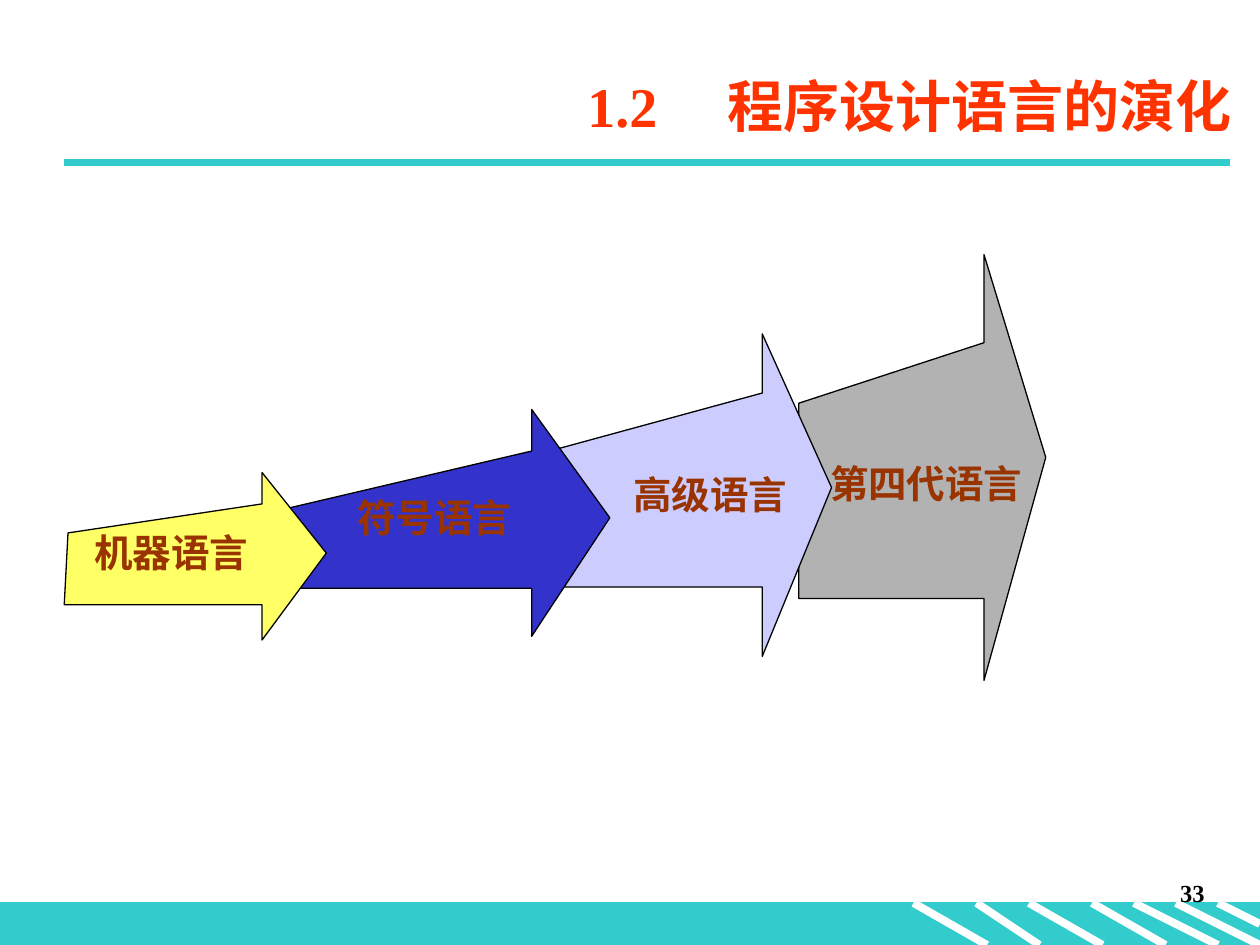
"""Build the slide on the evolution of programming languages."""
import pptx
import pptx.dml.color
import pptx.enum.shapes
import pptx.enum.text
import pptx.util
from lxml import etree

ALIGN = pptx.enum.text.PP_ALIGN
ANCHOR = pptx.enum.text.MSO_ANCHOR
COLS, ROWS = 120, 90
TEAL, WHITE, BLACK = "33CCCC", "FFFFFF", "000000"
STRIP = 86
STRIPES = [(87, 94, 90), (93, 99, 90), (98, 105, 90), (104, 111, 90),
           (108, 116, 90), (112, 120, 90), (116, 120, 88)]

# Each arrow: fill, tail (foot, left, top), base, neck, head, tip, label and its place
ARROWS = [
    ("B2B2B2", (76.08, 76.08, 38.4), 57, (93.72, 32.64), (24.24, 64.8),
     (99.6, 43.56), "第四代语言", (77.88, 43.2, 21.84)),
    ("CCCCFF", (52.44, 52.8, 42.84), 55.92, (72.6, 37.44), (31.8, 62.52),
     (79.2, 46.44), "高级语言", (59.16, 44.28, 18.72)),
    ("3333CC", (27.12, 27.12, 48.48), 56.04, (50.64, 42.96), (39, 60.6),
     (58.08, 49.32), "符号语言", (32.88, 46.44, 18.48)),
    ("FFFF66", (6.12, 6.48, 50.76), 57.6, (24.96, 48), (45, 60.96),
     (31.08, 52.68), "机器语言", (7.8, 49.8, 17.4)),
]


def cell(count):
    """Turn grid cells, twelve to the inch, into a length."""
    return pptx.util.Emu(round(pptx.util.Inches(count / 12)))


def tint(code):
    """Turn a hex string into a colour."""
    return pptx.dml.color.RGBColor.from_string(code)


def put(item, values):
    """Set attributes from a dict of values."""
    for name, value in values.items():
        setattr(item, name, value)


def style(font, size, color):
    """Format a font in the slide's bold face."""
    put(font, {"size": pptx.util.Pt(size), "bold": True, "name": "Times New Roman"})
    font.color.rgb = tint(color)


def paint(shape, fill, edge):
    """Give a shape a flat fill and a thin edge."""
    shape.shadow.inherit = False
    shape.fill.solid()
    shape.fill.fore_color.rgb = tint(fill)
    shape.line.color.rgb = tint(edge)
    shape.line.width = pptx.util.Pt(0.75)


def stroke(slide, start, end, color):
    """Draw a thick straight line between two grid points."""
    kind = pptx.enum.shapes.MSO_CONNECTOR.STRAIGHT
    line = slide.shapes.add_connector(kind, *map(cell, start + end))
    line.line.color.rgb = tint(color)
    line.line.width = pptx.util.Pt(4.5)
    etree.SubElement(line._element.spPr, pptx.oxml.ns.qn("a:effectLst"))


def label(slide, text, place, size, color, align=ALIGN.LEFT):
    """Add one line of text in a box on the grid."""
    frame = slide.shapes.add_textbox(*map(cell, place)).text_frame
    frame.word_wrap = True
    para = frame.paragraphs[0]
    para.alignment = align
    run = para.add_run()
    run.text = text
    style(run.font, size, color)


def arrow(slide, fill, tail, base, neck, head, tip, text, place):
    """Draw a widening block arrow with its label."""
    foot, left, top = tail
    side, high = neck
    points = [(left, top), (side, high), (side, head[0]), tip,
              (side, head[1]), (side, base)]
    pen = slide.shapes.build_freeform(cell(foot), cell(base))
    pen.add_line_segments([(cell(x), cell(y)) for x, y in points], close=True)
    paint(pen.convert_to_shape(), fill, BLACK)
    label(slide, text, (*place, 5.64), 22, "993300")


def heading(slide):
    """Fill the title, with a widened space after the number."""
    title = slide.shapes.title
    put(title, {"left": cell(16.56), "top": cell(5.28),
                "width": cell(102), "height": cell(9.48)})
    frame = title.text_frame
    put(frame, {"vertical_anchor": ANCHOR.MIDDLE, "word_wrap": True})
    para = frame.paragraphs[0]
    para.alignment = ALIGN.RIGHT
    for text, gap in (("1.2", 0), (" ", 32), ("程序设计语言的演化", 0)):
        run = para.add_run()
        run.text = text
        style(run.font, 32, "FF3300")
        if gap:
            run.font._element.set("spc", str(gap * 100))


def footer(slide):
    """Draw the striped strip and the page number."""
    kind = pptx.enum.shapes.MSO_SHAPE.RECTANGLE
    area = (0, STRIP, COLS, ROWS - STRIP)
    paint(slide.shapes.add_shape(kind, *map(cell, area)), TEAL, TEAL)
    for start, end, low in STRIPES:
        stroke(slide, (start, STRIP), (end, low), WHITE)
    label(slide, "33", (90.96, 83.04, 24.96, 6), 14, BLACK, ALIGN.RIGHT)


def main():
    """Build and save the slide."""
    deck = pptx.Presentation()
    put(deck, {"slide_width": cell(COLS), "slide_height": cell(ROWS)})
    slide = deck.slides.add_slide(deck.slide_layouts.get_by_name("Title Only"))
    footer(slide)
    stroke(slide, (6.12, 15.48), (117.12, 15.48), TEAL)
    for item in ARROWS:
        arrow(slide, *item)
    heading(slide)
    deck.save("out.pptx")


if __name__ == "__main__":
    main()
